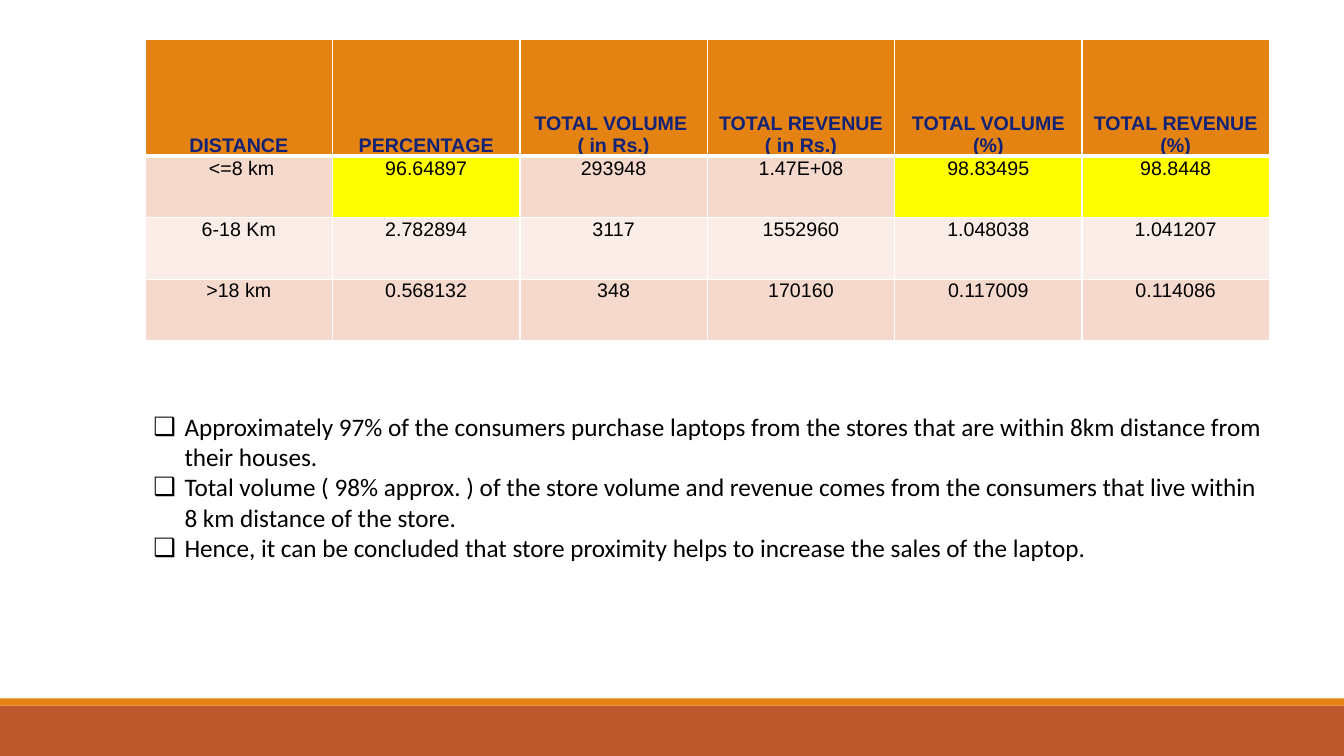
"""Build a slide with a table of laptop sales by store distance and its conclusions."""
from lxml import etree
from pptx import Presentation
from pptx.dml.color import RGBColor
from pptx.enum.shapes import MSO_SHAPE
from pptx.enum.text import MSO_ANCHOR, MSO_AUTO_SIZE, PP_ALIGN
from pptx.oxml import parse_xml
from pptx.oxml.ns import nsdecls, qn
from pptx.util import Inches, Pt

RECTANGLE = MSO_SHAPE.RECTANGLE
TOP, BOTTOM = MSO_ANCHOR.TOP, MSO_ANCHOR.BOTTOM
LEFT, CENTER = PP_ALIGN.LEFT, PP_ALIGN.CENTER
NO_AUTO_SIZE = MSO_AUTO_SIZE.NONE

ORANGE = RGBColor(0xE4, 0x83, 0x12)
RUST = RGBColor(0xBD, 0x58, 0x2C)
NAVY = RGBColor(0x11, 0x22, 0x77)
BLACK = RGBColor(0, 0, 0)
YELLOW = RGBColor(0xFF, 0xFF, 0)
DARK_BAND = RGBColor(0xF5, 0xD9, 0xCC)
LIGHT_BAND = RGBColor(0xFA, 0xED, 0xE7)

ROWS = [
    ["DISTANCE", "PERCENTAGE", "TOTAL VOLUME \n( in Rs.)", "TOTAL REVENUE\n( in Rs.)",
     "TOTAL VOLUME (%)", "TOTAL REVENUE (%)"],
    [" <=8 km", "96.64897", "293948", "1.47E+08", "98.83495", "98.8448"],
    ["6-18 Km", "2.782894", "3117", "1552960", "1.048038", "1.041207"],
    [">18 km", "0.568132", "348", "170160", "0.117009", "0.114086"],
]
HIGHLIGHTS = {(1, 1), (1, 4), (1, 5)}
CONCLUSIONS = [
    "Approximately 97% of the consumers purchase laptops from the stores that are within "
    "8km distance from their houses.",
    "Total volume ( 98% approx. ) of the store volume and revenue comes from the consumers "
    "that live within 8 km distance of the store.",
    "Hence, it can be concluded that store proximity helps to increase the sales of the laptop. ",
]


def write(text_frame, text, font="Arial", size=14, color=BLACK, bold=False, align=CENTER):
    text_frame.text = text
    for paragraph in text_frame.paragraphs:
        paragraph.alignment = align
        paragraph.space_before = paragraph.space_after = Pt(0)
        for run in paragraph.runs:
            run.font.name = font
            run.font.size = Pt(size)
            run.font.bold = bold
            run.font.color.rgb = color


presentation = Presentation()
presentation.slide_width = Inches(13.33)
presentation.slide_height = Inches(7.5)
slide = presentation.slides.add_slide(presentation.slide_layouts[1])
title = slide.shapes.title.element
title.getparent().remove(title)

for top, height, color in [(7, 0.5, RUST), (6.93, 0.07, ORANGE)]:
    footer_band = slide.shapes.add_shape(
        RECTANGLE, 0, Inches(top), presentation.slide_width, Inches(height))
    footer_band.shadow.inherit = False
    footer_band.fill.solid()
    footer_band.fill.fore_color.rgb = color
    footer_band.line.fill.background()

table = slide.shapes.add_table(
    len(ROWS), len(ROWS[0]), Inches(1.44), Inches(0.39), Inches(11.15), Inches(2.99)).table
for row_index, values in enumerate(ROWS):
    is_header = row_index == 0
    table.rows[row_index].height = Inches(1.16 if is_header else 0.61)
    for column_index, value in enumerate(values):
        cell = table.cell(row_index, column_index)
        cell.margin_left = cell.margin_right = cell.margin_top = Inches(0.01)
        cell.margin_bottom = 0
        cell.vertical_anchor = BOTTOM if is_header else TOP
        write(cell.text_frame, value, color=NAVY if is_header else BLACK, bold=is_header)
        under_header = (row_index, "lnB") == (0, "lnB") or row_index == 1
        for side in ("lnL", "lnR", "lnT", "lnB"):
            thick = (row_index, side) in {(0, "lnB"), (1, "lnT")}
            cell._tc.get_or_add_tcPr().append(parse_xml(
                f'<a:{side} {nsdecls("a")} w="{Pt(3 if thick else 1)}"><a:solidFill>'
                f'<a:srgbClr val="FFFFFF"/></a:solidFill></a:{side}>'))
        cell.fill.solid()
        if is_header:
            cell.fill.fore_color.rgb = ORANGE
        elif (row_index, column_index) in HIGHLIGHTS:
            cell.fill.fore_color.rgb = YELLOW
        else:
            cell.fill.fore_color.rgb = DARK_BAND if row_index % 2 else LIGHT_BAND

conclusions = slide.placeholders[1]
conclusions.left, conclusions.top = Inches(1.42), Inches(4.03)
conclusions.width, conclusions.height = Inches(11.24), Inches(1.62)
conclusions.text_frame.word_wrap = True
conclusions.text_frame.auto_size = NO_AUTO_SIZE
conclusions.text_frame.vertical_anchor = TOP
write(conclusions.text_frame, "\n".join(CONCLUSIONS), font="Calibri", size=18, align=LEFT)
for paragraph in conclusions.text_frame.paragraphs:
    properties = paragraph._p.get_or_add_pPr()
    properties.set("marL", str(Inches(0.31)))
    properties.set("indent", str(-Inches(0.31)))
    etree.SubElement(properties, qn("a:buChar")).set("char", "\u2751")

presentation.save("out.pptx")
